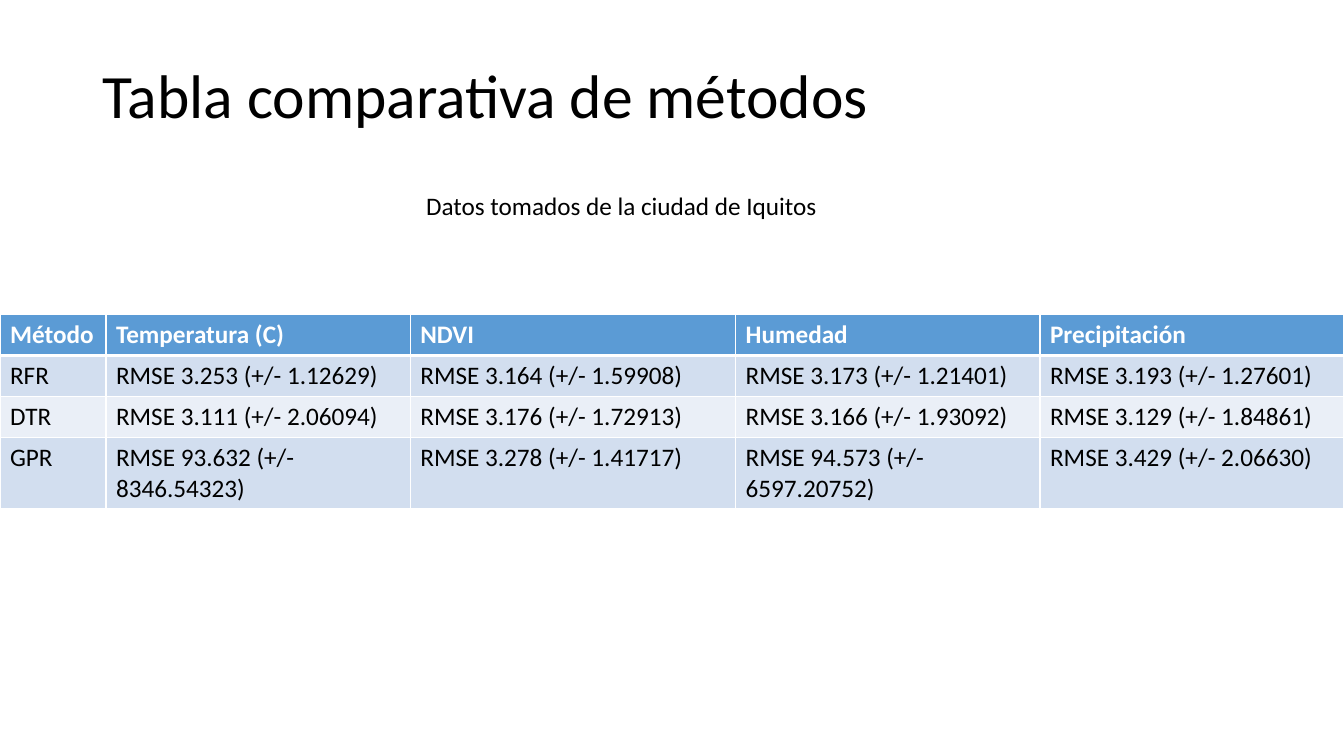
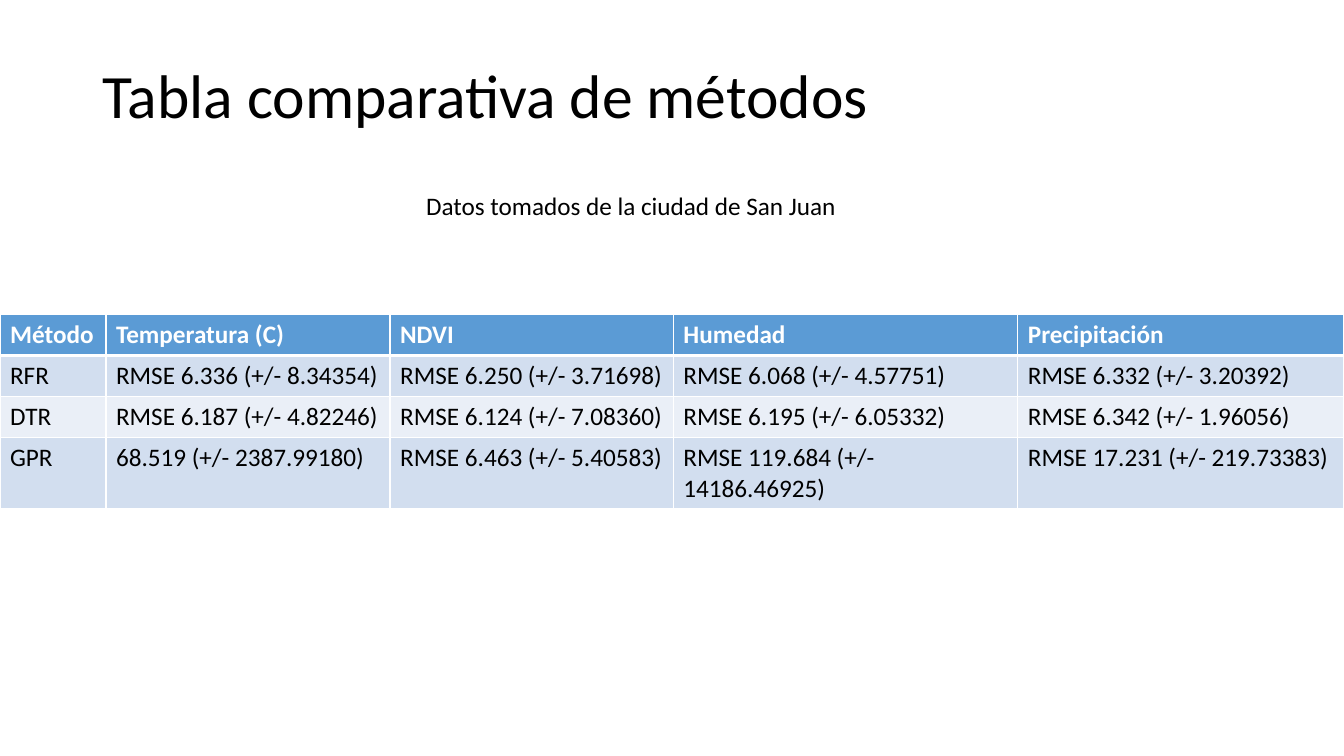
from lxml import etree
from pptx import Presentation
from pptx.dml.color import RGBColor
from pptx.enum import text
from pptx.oxml import ns
from pptx.util import Cm, Pt

FONT = "Calibri"
BLACK = RGBColor(0x00, 0x00, 0x00)
WHITE = RGBColor(0xFF, 0xFF, 0xFF)
HEADER_BLUE = RGBColor(0x5B, 0x9B, 0xD5)
BANDS = (RGBColor(0xD2, 0xDE, 0xEF), RGBColor(0xEA, 0xEF, 0xF7))

TITLE = "Tabla comparativa de métodos"
HEADINGS = ("Método", "Temperatura (C)", "NDVI", "Humedad", "Precipitación")
ROW_HEIGHTS = (1.03, 1.03, 1.03, 1.79)
METHOD_WIDTH = 2.67

CITIES = (
    ("Iquitos", (7.67, 8.2, 7.67, 7.65), (
        ("RFR", "RMSE 3.253 (+/- 1.12629)", "RMSE 3.164 (+/- 1.59908)",
         "RMSE 3.173 (+/- 1.21401)", "RMSE 3.193 (+/- 1.27601)"),
        ("DTR", "RMSE 3.111 (+/- 2.06094)", "RMSE 3.176 (+/- 1.72913)",
         "RMSE 3.166 (+/- 1.93092)", "RMSE 3.129 (+/- 1.84861)"),
        ("GPR", "RMSE 93.632 (+/- 8346.54323)", "RMSE 3.278 (+/- 1.41717)",
         "RMSE 94.573 (+/- 6597.20752)", "RMSE 3.429 (+/- 2.06630)"),
    )),
    ("San Juan", (7.16, 7.14, 8.68, 8.22), (
        ("RFR", "RMSE 6.336 (+/- 8.34354)", "RMSE 6.250 (+/- 3.71698)",
         "RMSE 6.068 (+/- 4.57751)", "RMSE 6.332 (+/- 3.20392)"),
        ("DTR", "RMSE 6.187 (+/- 4.82246)", "RMSE 6.124 (+/- 7.08360)",
         "RMSE 6.195 (+/- 6.05332)", "RMSE 6.342 (+/- 1.96056)"),
        ("GPR", "68.519 (+/- 2387.99180)", "RMSE 6.463 (+/- 5.40583)",
         "RMSE 119.684 (+/- 14186.46925)", "RMSE 17.231 (+/- 219.73383)"),
    )),
)


def add_run(paragraph, words, size=18, color=BLACK, bold=False):
    run = paragraph.add_run()
    run.text = words
    run.font.name = FONT
    run.font.size = Pt(size)
    run.font.bold = bold
    run.font.color.rgb = color


def set_title(slide, words):
    title = slide.shapes.title
    title.left, title.top = Cm(2.33), Cm(0.64)
    title.width, title.height = Cm(29.21), Cm(3.68)
    title.text_frame.vertical_anchor = text.MSO_ANCHOR.MIDDLE
    heading = title.text_frame.paragraphs[0]
    heading.alignment = text.PP_ALIGN.LEFT
    heading.line_spacing = 0.9
    add_run(heading, words, size=44)


def add_caption(slide, words):
    caption = slide.shapes.add_textbox(Cm(10.49), Cm(4.67), Cm(11.3), Cm(1.03))
    caption.text_frame.word_wrap = True
    caption.text_frame.auto_size = text.MSO_AUTO_SIZE.SHAPE_TO_FIT_TEXT
    add_run(caption.text_frame.paragraphs[0], words)


def set_borders(cell, top, bottom):
    properties = cell._tc.get_or_add_tcPr()
    for side, points in (("L", 1), ("R", 1), ("T", top), ("B", bottom)):
        line = etree.SubElement(properties, ns.qn(f"a:ln{side}"), w=str(Pt(points)))
        fill = etree.SubElement(line, ns.qn("a:solidFill"))
        etree.SubElement(fill, ns.qn("a:srgbClr"), val=str(WHITE))


def fill_cell(cell, words, row):
    is_header = row == 0
    set_borders(cell, top=3 if row == 1 else 1, bottom=3 if is_header else 1)
    cell.fill.solid()
    cell.fill.fore_color.rgb = HEADER_BLUE if is_header else BANDS[(row - 1) % 2]
    add_run(cell.text_frame.paragraphs[0], words,
            color=WHITE if is_header else BLACK, bold=is_header)


def add_results(slide, measure_widths, results):
    rows = (HEADINGS, *results)
    widths = (METHOD_WIDTH, *measure_widths)
    table = slide.shapes.add_table(
        len(rows), len(widths), Cm(0), Cm(7.93),
        Cm(sum(widths)), Cm(sum(ROW_HEIGHTS))).table
    for column, width in zip(table.columns, widths):
        column.width = Cm(width)
    for row, (values, height) in enumerate(zip(rows, ROW_HEIGHTS)):
        table.rows[row].height = Cm(height)
        for column, value in enumerate(values):
            fill_cell(table.cell(row, column), value, row)


def main():
    deck = Presentation()
    deck.slide_width, deck.slide_height = Cm(33.87), Cm(19.05)
    title_only = deck.slide_layouts[5]
    for city, measure_widths, results in CITIES:
        slide = deck.slides.add_slide(title_only)
        set_title(slide, TITLE)
        add_results(slide, measure_widths, results)
        add_caption(slide, f"Datos tomados de la ciudad de {city}")
    deck.save("out.pptx")


if __name__ == "__main__":
    main()
